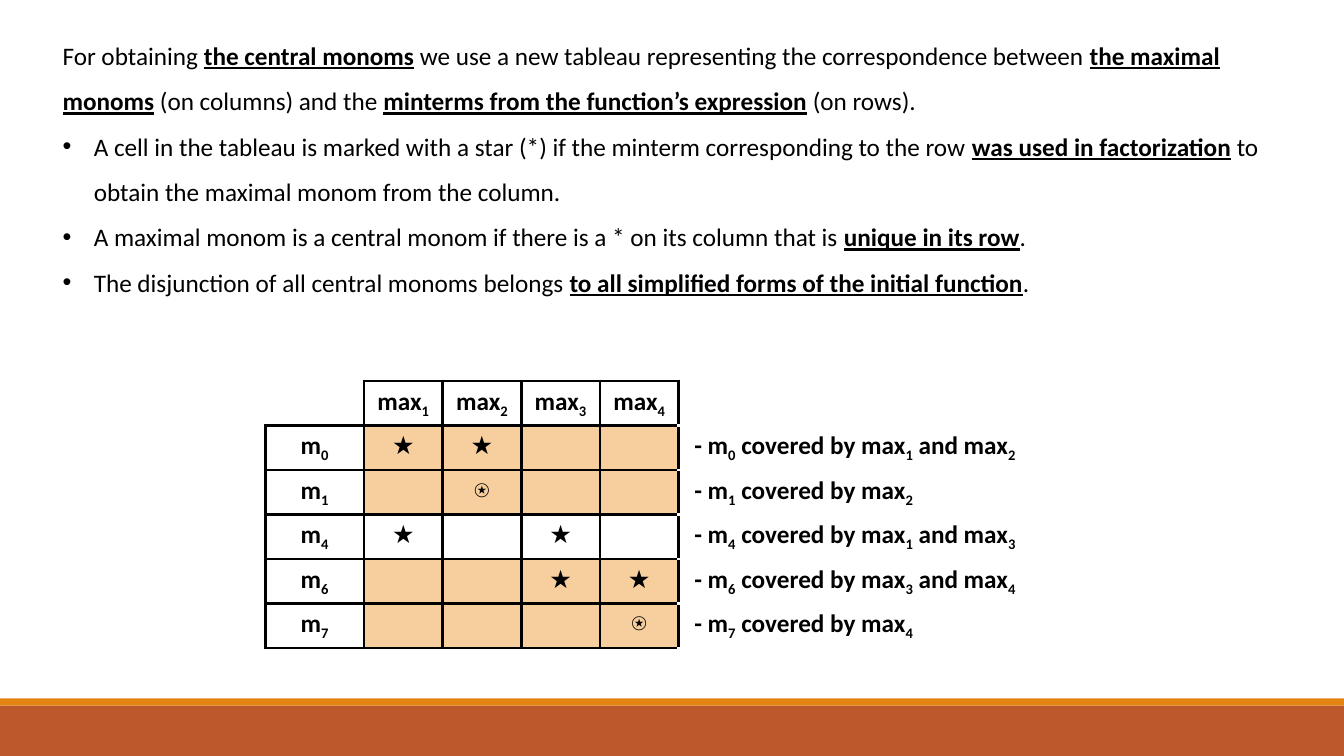
from itertools import groupby
from lxml.etree import SubElement
from pptx import Presentation
from pptx.dml.color import RGBColor
from pptx.enum.shapes import MSO_SHAPE
from pptx.enum.text import MSO_ANCHOR, MSO_AUTO_SIZE, PP_ALIGN
from pptx.oxml.ns import qn
from pptx.util import Inches, Pt

BLACK = RGBColor(0x00, 0x00, 0x00)
WHITE = RGBColor(0xFF, 0xFF, 0xFF)
RUST = RGBColor(0xBD, 0x58, 0x2C)
ORANGE = RGBColor(0xE4, 0x83, 0x12)
PEACH = RGBColor(0xF7, 0xCE, 0x9D)


def add_run(paragraph, text, bold=False, underline=False, subscript=False):
    run = paragraph.add_run()
    run.text = text
    run.font.name = "Calibri"
    run.font.size = Pt(18)
    run.font.color.rgb = BLACK
    run.font.bold = bold
    run.font.underline = underline
    if subscript:
        run.font._element.set("baseline", "-25000")


def set_border(cell, side, color):
    line = SubElement(cell._tc.get_or_add_tcPr(), qn(f"a:ln{side}"), w=str(Pt(2.25)))
    fill = SubElement(line, qn("a:solidFill"))
    SubElement(fill, qn("a:srgbClr"), val=str(color))


presentation = Presentation()
presentation.slide_width = Inches(13.33)
presentation.slide_height = Inches(7.5)
slide = presentation.slides.add_slide(presentation.slide_layouts[1])
title = slide.shapes.title
title._element.getparent().remove(title._element)

for top, height, color in [(7, 0.5, RUST), (6.93, 0.07, ORANGE)]:
    bar = slide.shapes.add_shape(
        MSO_SHAPE.RECTANGLE, 0, Inches(top), presentation.slide_width, Inches(height))
    bar.shadow.inherit = False
    bar.fill.solid()
    bar.fill.fore_color.rgb = color
    bar.line.fill.background()

explanations = [
    "For obtaining |the central monoms| we use a new tableau representing the "
    "correspondence between |the maximal monoms| (on columns) and the "
    "|minterms from the function’s expression| (on rows).",
    "A cell in the tableau is marked with a star (*) if the minterm corresponding to "
    "the row |was used in factorization| to obtain the maximal monom from the column.",
    "A maximal monom is a central monom if there is a * on its column that is "
    "|unique in its row|.",
    "The disjunction of all central monoms belongs "
    "|to all simplified forms of the initial function|.",
]
body = slide.placeholders[1]
body.left, body.top = Inches(0.52), Inches(0.2)
body.width, body.height = Inches(12.29), Inches(2.78)
text_frame = body.text_frame
text_frame.word_wrap = True
text_frame.auto_size = MSO_AUTO_SIZE.SHAPE_TO_FIT_TEXT
text_frame.vertical_anchor = MSO_ANCHOR.TOP

for index, explanation in enumerate(explanations):
    paragraph = text_frame.add_paragraph() if index else text_frame.paragraphs[0]
    paragraph.line_spacing = 1.5
    paragraph.space_before = Pt(0)
    properties = paragraph._p.get_or_add_pPr()
    indent = Inches(0.31) if index else 0
    properties.set("marL", str(indent))
    properties.set("indent", str(-indent))
    if index:
        SubElement(properties, qn("a:buFont"), typeface="Arial")
        SubElement(properties, qn("a:buChar"), char="•")
    else:
        SubElement(properties, qn("a:buNone"))
    for part, text in enumerate(explanation.split("|")):
        emphasis = part % 2 == 1
        add_run(paragraph, text, bold=emphasis, underline=emphasis)

tableau = [
    ["", "max1", "max2", "max3", "max4", ""],
    ["m0", "★", "★", "", "", " - m0 covered by max1 and max2"],
    ["m1", "", "⍟", "", "", " - m1 covered by max2"],
    ["m4", "★", "", "★", "", " - m4 covered by max1 and max3"],
    ["m6", "", "", "★", "★", " - m6 covered by max3 and max4"],
    ["m7", "", "", "", "⍟", " - m7 covered by max4"],
]
shaded_rows = {1, 2, 4, 5}
column_widths = [0.98] + [0.78] * 4 + [3.98]
row_heights = [0.37] + [0.41] * 5
last_column = len(column_widths) - 1

table = slide.shapes.add_table(
    len(row_heights), len(column_widths), Inches(2.63), Inches(3.78),
    Inches(sum(column_widths)), Inches(sum(row_heights))).table
table.first_row = False
table.horz_banding = False
for column, width in zip(table.columns, column_widths):
    column.width = Inches(width)
for row, height in zip(table.rows, row_heights):
    row.height = Inches(height)

for row_index, texts in enumerate(tableau):
    for column_index, text in enumerate(texts):
        cell = table.cell(row_index, column_index)
        if column_index == last_column:
            white_sides = "RTB"
        elif row_index == column_index == 0:
            white_sides = "LT"
        else:
            white_sides = ""
        for side in "LRTB":
            set_border(cell, side, WHITE if side in white_sides else BLACK)
        shaded = row_index in shaded_rows and 0 < column_index < last_column
        cell.fill.solid()
        cell.fill.fore_color.rgb = PEACH if shaded else WHITE
        paragraph = cell.text_frame.paragraphs[0]
        if column_index < last_column:
            paragraph.alignment = PP_ALIGN.CENTER
        for is_digit, characters in groupby(text, str.isdigit):
            add_run(paragraph, "".join(characters),
                    bold=text not in ("★", "⍟"), subscript=is_digit)

presentation.save("out.pptx")
